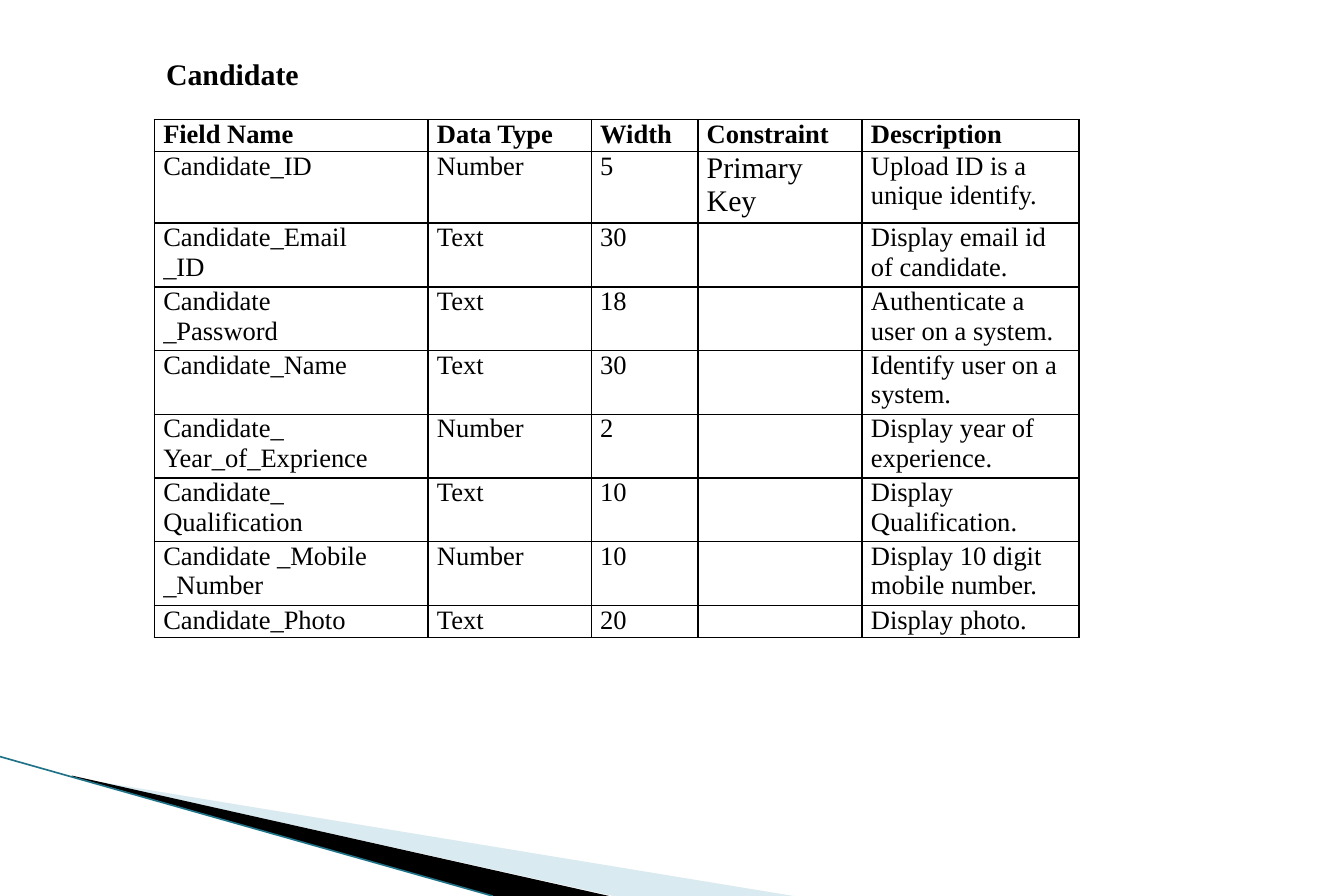
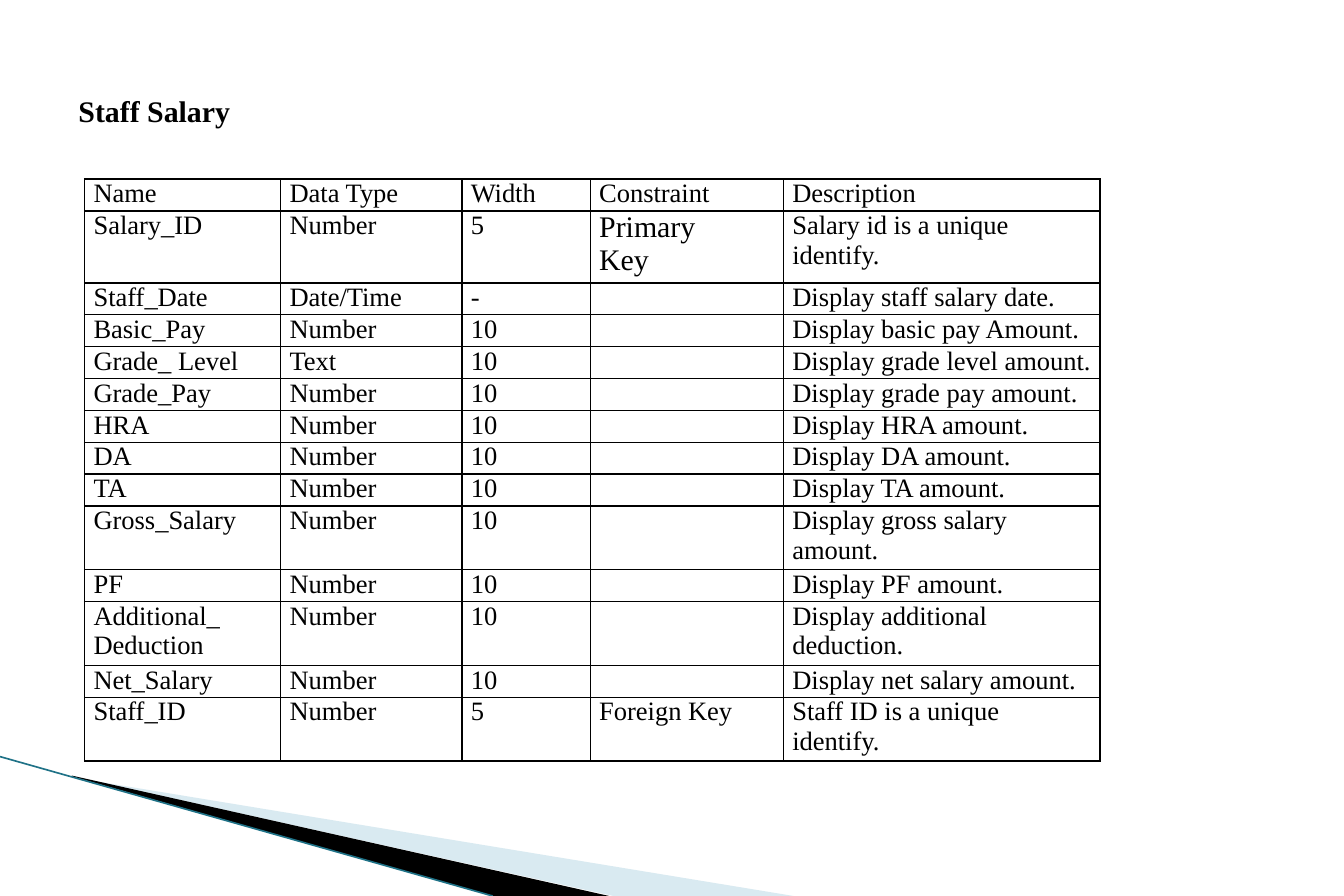
from lxml import etree
from pptx import Presentation
from pptx.dml.color import RGBColor
from pptx.enum import shapes, text
from pptx.oxml import parse_xml
from pptx.oxml.ns import nsdecls, qn
from pptx.util import Pt

PX = 7620  # EMU per px, 120 px to the inch
SLIDE_WIDTH, SLIDE_HEIGHT = 1350, 900
FONT = "Times New Roman"
BLACK = RGBColor(0x00, 0x00, 0x00)
PALE_BLUE = RGBColor(0xA0, 0xCB, 0xDC)
TEAL = RGBColor(0x1F, 0x72, 0x87)
BODY_SIZE, LARGE_SIZE = 16, 18
PRIMARY_KEY = "Primary\nKey"

CANDIDATE_ROWS = [
    ("Field Name", "Data Type", "Width", "Constraint", "Description"),
    ("Candidate_ID", "Number", "5", PRIMARY_KEY, "Upload ID is a unique identify."),
    ("Candidate_Email\n_ID", "Text", "30", "", "Display email id of candidate."),
    ("Candidate\n_Password", "Text", "18", "", "Authenticate a user on a system."),
    ("Candidate_Name", "Text", "30", "", "Identify user on a system."),
    ("Candidate_ Year_of_Exprience", "Number", "2", "", "Display year of experience."),
    ("Candidate_\nQualification", "Text", "10", "", "Display Qualification."),
    ("Candidate _Mobile\n_Number", "Number", "10", "", "Display 10 digit mobile number."),
    ("Candidate_Photo", "Text", "20", "", "Display photo."),
]
SALARY_ROWS = [
    ("Name", "Data Type", "Width", "Constraint", "Description"),
    ("Salary_ID", "Number", "5", PRIMARY_KEY, "Salary id is a unique identify."),
    ("Staff_Date", "Date/Time", "-", "", "Display staff salary date."),
    ("Basic_Pay", "Number", "10", "", "Display basic pay Amount."),
    ("Grade_ Level", "Text", "10", "", "Display grade level amount."),
    ("Grade_Pay", "Number", "10", "", "Display grade pay amount."),
    ("HRA", "Number", "10", "", "Display HRA amount."),
    ("DA", "Number", "10", "", "Display DA amount."),
    ("TA", "Number", "10", "", "Display TA amount."),
    ("Gross_Salary", "Number", "10", "", "Display gross salary amount."),
    ("PF", "Number", "10", "", "Display PF amount."),
    ("Additional_ Deduction", "Number", "10", "", "Display additional deduction."),
    ("Net_Salary", "Number", "10", "", "Display net salary amount."),
    ("Staff_ID", "Number", "5", "Foreign Key", "Staff ID is a unique identify."),
]


def px(*lengths):
    return [length * PX for length in lengths]


def style_font(font, size, bold=False):
    font.name = FONT
    font.size = Pt(size)
    font.bold = bold
    font.color.rgb = BLACK


def add_band(slide, points, color, opacity=100):
    builder = slide.shapes.build_freeform(*points[0], scale=PX)
    builder.add_line_segments(points[1:], close=True)
    band = builder.convert_to_shape()
    band.shadow.inherit = False
    band.line.fill.background()
    band.fill.solid()
    band.fill.fore_color.rgb = color
    if opacity < 100:
        color_element = band.fill._xPr.find(qn("a:solidFill"))[0]
        etree.SubElement(color_element, qn("a:alpha"), val=str(opacity * 1000))


def add_corner_bands(slide):
    """Wedges and edge line in the lower left corner."""
    bottom = SLIDE_HEIGHT
    add_band(slide, [(73, 781), (797, bottom), (616, bottom), (74, 780)], PALE_BLUE, 40)
    add_band(slide, [(72, 779), (612, bottom), (495, bottom), (73, 780)], BLACK)
    edge = slide.shapes.add_connector(
        shapes.MSO_CONNECTOR.STRAIGHT, *px(0, 760, 495, bottom))
    edge.line.color.rgb = TEAL
    edge.line.width = Pt(1)
    etree.SubElement(edge._element.spPr, qn("a:effectLst"))


def add_title(slide, title, box, wrap):
    shape = slide.shapes.add_textbox(*px(*box))
    frame = shape.text_frame
    frame.word_wrap = wrap
    frame.vertical_anchor = text.MSO_ANCHOR.MIDDLE
    frame.text = title
    style_font(frame.paragraphs[0].font, LARGE_SIZE, bold=True)


def add_borders(cell):
    properties = cell._tc.get_or_add_tcPr()
    for index, side in enumerate("LRTB"):
        properties.insert(index, parse_xml(
            f'<a:ln{side} {nsdecls("a")} w="12700"><a:solidFill>'
            f'<a:srgbClr val="{BLACK}"/></a:solidFill></a:ln{side}>'))


def fill_cell(cell, value, bold):
    cell.margin_left = cell.margin_right = 9 * PX
    cell.margin_top = cell.margin_bottom = 0
    cell.fill.background()
    add_borders(cell)
    cell.text = value
    size = LARGE_SIZE if value == PRIMARY_KEY else BODY_SIZE
    for paragraph in cell.text_frame.paragraphs:
        style_font(paragraph.font, size, bold)
        if not value:  # keeps an empty cell from stretching its row
            end = etree.SubElement(paragraph._p, qn("a:endParaRPr"), sz=str(size * 100))
            etree.SubElement(end, qn("a:latin"), typeface=FONT)


def add_field_table(slide, rows, left, top, widths, heights, bold_header):
    frame = slide.shapes.add_table(
        len(rows), len(widths), *px(left, top, sum(widths), sum(heights)))
    table = frame.table
    table.first_row = table.horz_banding = False
    for column, width in zip(table.columns, widths):
        column.width = width * PX
    for row_index, (row, height) in enumerate(zip(rows, heights)):
        table.rows[row_index].height = height * PX
        for column_index, value in enumerate(row):
            fill_cell(table.cell(row_index, column_index), value,
                      bold_header and row_index == 0)


def add_field_slide(presentation, title, title_box, wrap, **table):
    slide = presentation.slides.add_slide(presentation.slide_layouts[6])
    add_corner_bands(slide)
    add_title(slide, title, title_box, wrap)
    add_field_table(slide, **table)


def main():
    presentation = Presentation()
    presentation.slide_width, presentation.slide_height = px(SLIDE_WIDTH, SLIDE_HEIGHT)
    add_field_slide(
        presentation, "Candidate", (155, 50, 158, 48), False,
        rows=CANDIDATE_ROWS, left=155, top=120, widths=[275, 164, 107, 165, 218],
        heights=[32, 71] + [64] * 6 + [32], bold_header=True)
    # Rows on this slide grow with their wrapped text.
    add_field_slide(
        presentation, "Staff Salary", (67, 36, 1214, 150), True,
        rows=SALARY_ROWS, left=85, top=180, widths=[197, 182, 129, 194, 318],
        heights=[29] * len(SALARY_ROWS), bold_header=False)
    presentation.save("out.pptx")


if __name__ == "__main__":
    main()
